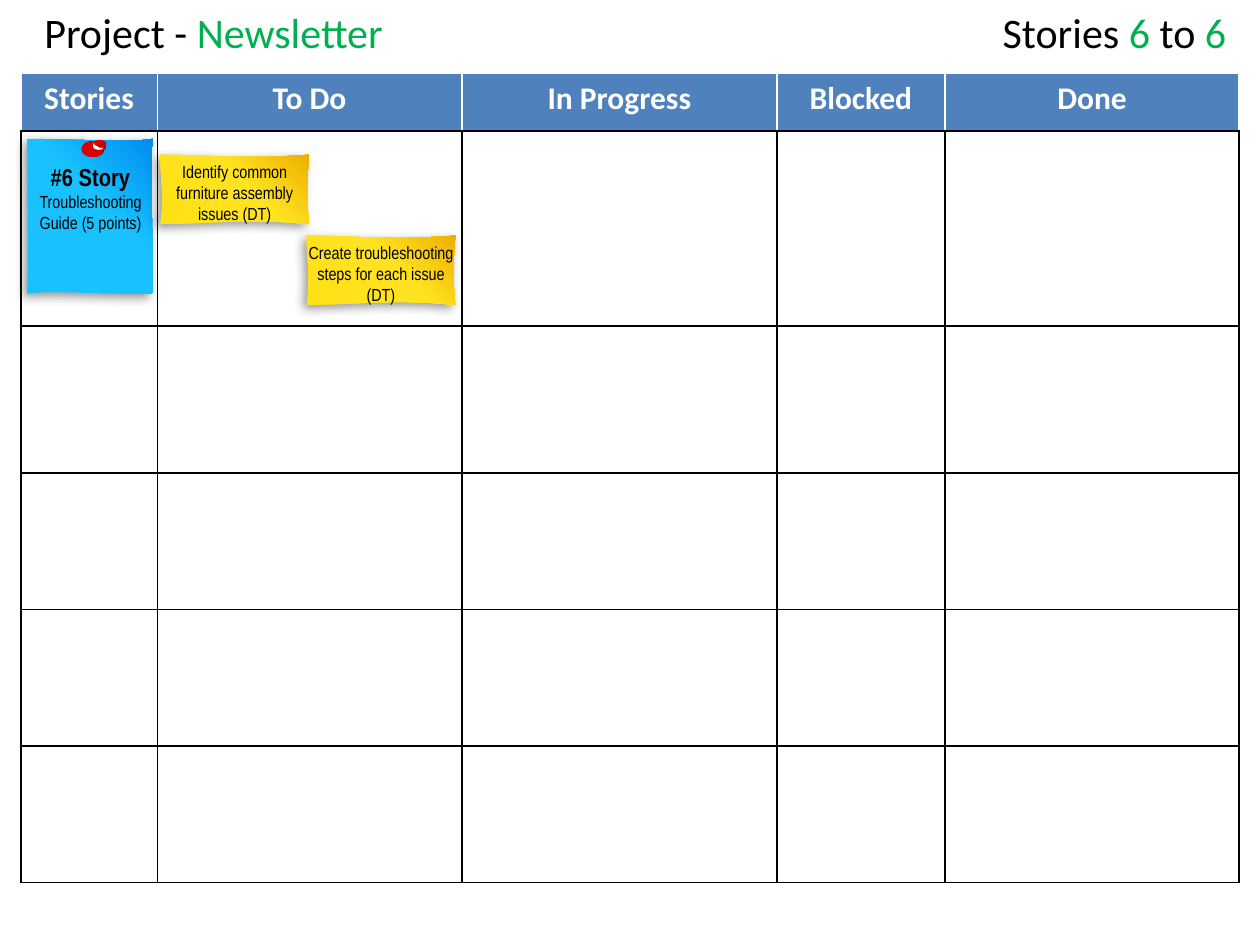
"""Build a one-page sprint task board with story and task notes."""
from lxml.etree import SubElement
from pptx import Presentation
from pptx.dml.color import RGBColor
from pptx.enum.shapes import MSO_SHAPE
from pptx.enum.text import MSO_ANCHOR, MSO_AUTO_SIZE, PP_ALIGN
from pptx.oxml import parse_xml
from pptx.oxml.ns import nsdecls, qn
from pptx.util import Cm, Pt

BLACK = RGBColor(0x00, 0x00, 0x00)
WHITE = RGBColor(0xFF, 0xFF, 0xFF)
GREEN = RGBColor(0x00, 0xB0, 0x50)
HEADER_BLUE = RGBColor(0x4F, 0x81, 0xBD)
BLUE_NOTE = [(0, RGBColor(0x19, 0xC2, 0xFF)), (58, RGBColor(0x19, 0xC2, 0xFF)),
             (100, RGBColor(0x00, 0x8C, 0xF0))]
YELLOW_NOTE = [(0, RGBColor(0xFF, 0xE1, 0x15)), (58, RGBColor(0xFF, 0xE3, 0x21)),
               (100, RGBColor(0xEE, 0xB0, 0x00))]
RED_PIN = [(0, RGBColor(0xDA, 0x00, 0x00)), (80, RGBColor(0xD6, 0x00, 0x00)),
           (100, RGBColor(0xAC, 0x00, 0x00))]

PROJECT = [("Project - ", BLACK), ("Newsletter", GREEN)]
STORY_RANGE = [("Stories ", BLACK), ("6", GREEN), (" to ", BLACK), ("6", GREEN)]
COLUMNS = [("Stories", 2.75), ("To Do", 6.14), ("In Progress", 6.35),
           ("Blocked", 3.39), ("Done", 5.93)]
ROW_HEIGHTS = [1.16, 3.93, 2.97, 2.75, 2.75, 2.75]
STORY = [("#6 Story", 14, True), ("Troubleshooting Guide (5 points)", 10, False)]
TASKS = [("Identify common furniture assembly issues (DT)", 3.23, 3.12),
         ("Create troubleshooting steps for each issue (DT)", 6.18, 4.75)]
PIN_PARTS = [(1.64, 2.84, 0.46, 0.33), (1.85, 2.82, 0.3, 0.23)]

STORY_OUTLINE = [((0.84, 0), (2.11, 0.08), (2.53, 0)),
                 ((2.45, 0.69), (2.57, 2.49), (2.53, 3.13)),
                 ((1.38, 3.13), (0.25, 3.05), (0, 3.13)),
                 ((0.02, 2.57), (0, 1.05), (0, 0))]
TASK_OUTLINE = [((0.99, 0), (1.6, 0.1), (3, 0)),
                ((2.95, 0.69), (2.95, 0.84), (3, 1.4)),
                ((1.7, 1.27), (0.99, 1.4), (0, 1.4)),
                ((0.08, 0.76), (0, 0.46), (0, 0))]
GLINT_OUTLINE = [((0, 0), (0, 0.05), (0.08, 0.08)),
                 ((0.13, 0.13), (0.2, 0.1), (0.2, 0.13)),
                 ((0.18, 0.13), (0.13, 0.18), (0.03, 0.13)),
                 ((-0.05, 0.08), (0.03, 0.03), (0, 0))]


def add_span(para, text, font, size, color, bold=False):
    span = para.add_run()
    span.text = text
    span.font.name, span.font.size, span.font.bold = font, Pt(size), bold
    span.font.color.rgb = color


def add_outline(shapes, left, top, curves):
    builder = shapes.build_freeform(Cm(left), Cm(top))
    builder.add_line_segments([(Cm(left + x), Cm(top + y)) for _, _, (x, y) in curves])
    shape = builder.convert_to_shape()
    shape.shadow.inherit = False
    shape.line.fill.background()
    for line, curve in zip(list(shape._element.iter(qn("a:lnTo"))), curves):
        bend = parse_xml(f'<a:cubicBezTo {nsdecls("a")}/>')
        for x, y in curve:
            SubElement(bend, qn("a:pt"), x=str(int(Cm(x))), y=str(int(Cm(y))))
        line.getparent().replace(line, bend)
    return shape


def fill_gradient(shape, stops, angle):
    shape.fill.gradient()
    gradient = shape._element.spPr.find(qn("a:gradFill"))
    stop_list = gradient.find(qn("a:gsLst"))
    for stop in list(stop_list):
        stop_list.remove(stop)
    for position, color in stops:
        stop = SubElement(stop_list, qn("a:gs"), pos=str(position * 1000))
        SubElement(stop, qn("a:srgbClr"), val=str(color))
    gradient.find(qn("a:lin")).set("ang", str(angle * 60000))


def add_note(shapes, left, top, curves, stops):
    note = add_outline(shapes, left, top, curves)
    fill_gradient(note, stops, 315)
    effects = note._element.spPr.find(qn("a:effectLst"))
    effects.append(parse_xml(
        f'<a:outerShdw {nsdecls("a")} blurRad="{Pt(6)}" dist="{Pt(3)}" dir="8100000" '
        'algn="tr" rotWithShape="0"><a:srgbClr val="000000"><a:alpha val="40000"/>'
        '</a:srgbClr></a:outerShdw>'))
    return note


def set_frame(frame, top=0.0):
    frame.word_wrap = True
    frame.vertical_anchor = MSO_ANCHOR.TOP
    frame.margin_left = frame.margin_right = frame.margin_bottom = 0
    frame.margin_top = Cm(top)


def fill_heading(box, spans, left, width, alignment):
    box.left, box.top, box.width, box.height = Cm(left), Cm(0), Cm(width), Cm(1.27)
    frame = box.text_frame
    frame.word_wrap = True
    frame.auto_size = MSO_AUTO_SIZE.NONE
    frame.vertical_anchor = MSO_ANCHOR.MIDDLE
    para = frame.paragraphs[0]
    para.alignment = alignment
    for text, color in spans:
        add_span(para, text, "Calibri", 24, color)


def set_borders(cell, side_color):
    properties = cell._tc.get_or_add_tcPr()
    sides = [("L", side_color), ("R", side_color), ("T", side_color), ("B", BLACK)]
    for index, (side, color) in enumerate(sides):
        properties.insert(index, parse_xml(
            f'<a:ln{side} {nsdecls("a")} w="{Pt(1)}"><a:solidFill>'
            f'<a:srgbClr val="{color}"/></a:solidFill></a:ln{side}>'))


def add_board(page):
    widths = [width for _, width in COLUMNS]
    board = page.shapes.add_table(len(ROW_HEIGHTS), len(COLUMNS), Cm(0.42), Cm(1.48),
                                  Cm(sum(widths)), Cm(sum(ROW_HEIGHTS))).table
    for row, height in zip(board.rows, ROW_HEIGHTS):
        row.height = Cm(height)
    for column, width in zip(board.columns, widths):
        column.width = Cm(width)
    for cell in board.iter_cells():
        cell.fill.background()
    for (name, _), cell in zip(COLUMNS, board.rows[0].cells):
        cell.fill.solid()
        cell.fill.fore_color.rgb = HEADER_BLUE
        cell.margin_top, cell.margin_bottom = Cm(0.13), Cm(0.25)
        para = cell.text_frame.paragraphs[0]
        para.alignment = PP_ALIGN.CENTER
        add_span(para, name, "Calibri", 18, WHITE, True)
    for number, row in enumerate(board.rows):
        for cell in row.cells:
            set_borders(cell, BLACK if number else WHITE)


def add_story(page):
    shapes = page.shapes.add_group_shape().shapes
    add_note(shapes, 0.55, 2.8, STORY_OUTLINE, BLUE_NOTE)
    box = shapes.add_textbox(Cm(0.63), Cm(3.26), Cm(2.39), Cm(1.04))
    frame = box.text_frame
    set_frame(frame)
    for index, (text, size, bold) in enumerate(STORY):
        para = frame.add_paragraph() if index else frame.paragraphs[0]
        para.alignment = PP_ALIGN.CENTER
        add_span(para, text, "Arial Narrow", size, BLACK, bold)
    for bounds in PIN_PARTS:
        pin = shapes.add_shape(MSO_SHAPE.OVAL, *map(Cm, bounds))
        pin.shadow.inherit = False
        pin.line.fill.background()
        fill_gradient(pin, RED_PIN, 0)
    glint = add_outline(shapes, 1.88, 2.87, GLINT_OUTLINE)
    glint.fill.solid()
    glint.fill.fore_color.rgb = WHITE


def add_task(page, text, left, top):
    note = add_note(page.shapes, left, top, TASK_OUTLINE, YELLOW_NOTE)
    set_frame(note.text_frame, 0.13)
    para = note.text_frame.paragraphs[0]
    para.alignment = PP_ALIGN.CENTER
    add_span(para, text, "Arial Narrow", 10, BLACK)


def main():
    deck = Presentation()
    deck.slide_width, deck.slide_height = Cm(25.4), Cm(19.05)
    page = deck.slides.add_slide(deck.slide_layouts[5])
    fill_heading(page.shapes.title, PROJECT, 0.64, 19.48, PP_ALIGN.LEFT)
    add_board(page)
    add_story(page)
    range_box = page.shapes.add_textbox(0, 0, Cm(1), Cm(1))
    fill_heading(range_box, STORY_RANGE, 19.64, 5.33, PP_ALIGN.RIGHT)
    for task in TASKS:
        add_task(page, *task)
    deck.save("out.pptx")


if __name__ == "__main__":
    main()
